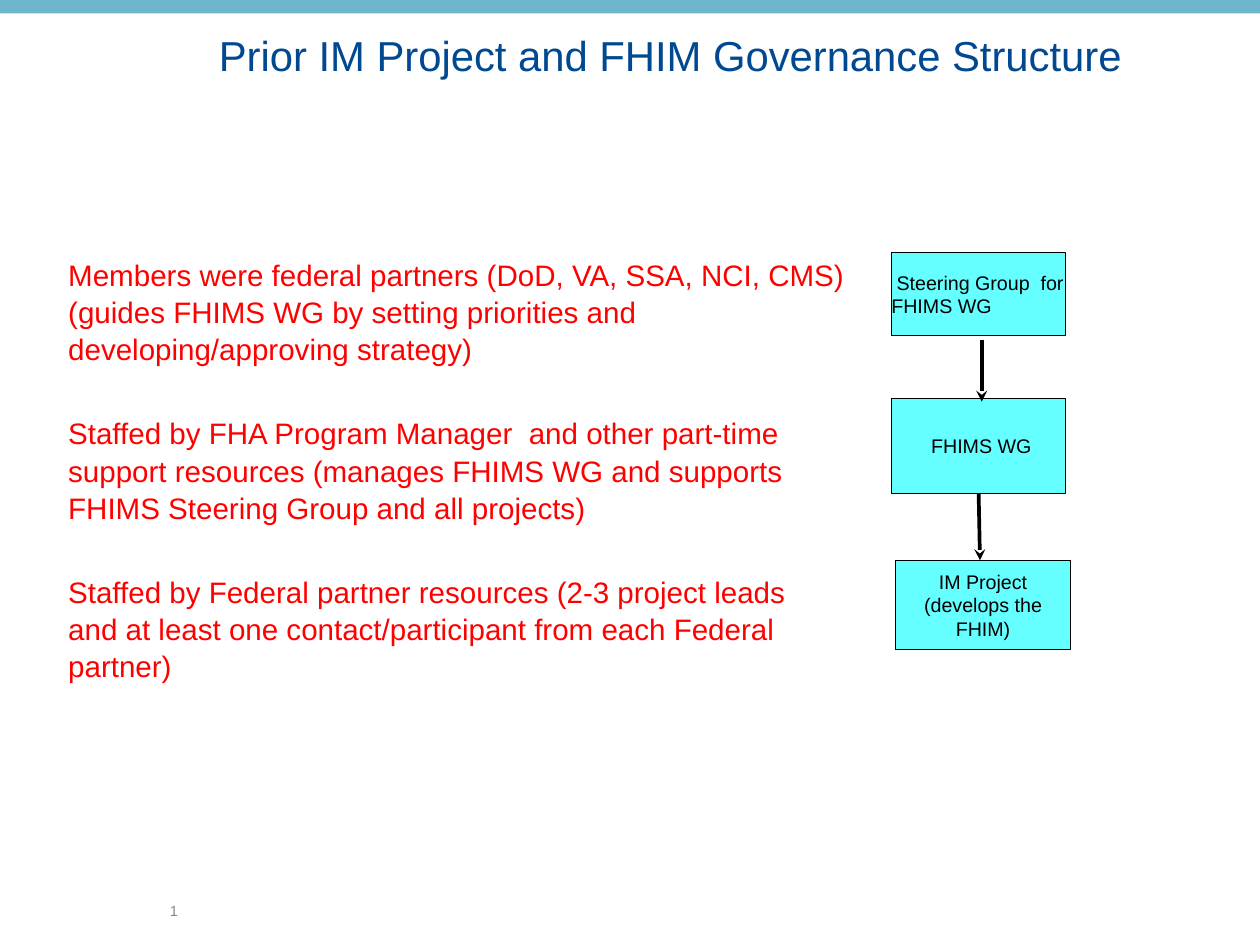
import pptx
import pptx.dml.color
import pptx.enum.shapes
import pptx.enum.text
import pptx.oxml
import pptx.oxml.ns
import pptx.util

Inches = pptx.util.Inches
Pt = pptx.util.Pt
ALIGN = pptx.enum.text.PP_ALIGN
ANCHOR = pptx.enum.text.MSO_ANCHOR
RECTANGLE = pptx.enum.shapes.MSO_SHAPE.RECTANGLE

FONT = "Arial"
SPACE_INDENT = 0.06

ROLES = [
    "Members were federal partners (DoD, VA, SSA, NCI, CMS)\v"
    "(guides FHIMS WG by setting priorities and\v"
    "developing/approving strategy)",
    "Staffed by FHA Program Manager  and other part-time\v"
    "support resources (manages FHIMS WG and supports\v"
    "FHIMS Steering Group and all projects)",
    "Staffed by Federal partner resources (2-3 project leads\v"
    "and at least one contact/participant from each Federal\v"
    "partner)",
]


def rgb(value):
    return pptx.dml.color.RGBColor.from_string(value)


def write(shape, paragraphs, size, color, align=ALIGN.LEFT, anchor=ANCHOR.TOP,
          line_spacing=None, gap=0, indent=0):
    """Fill a shape with paragraphs in one style; indent is for first lines."""
    frame = shape.text_frame
    frame.word_wrap = True
    frame.vertical_anchor = anchor
    frame.margin_left = frame.margin_right = 0
    frame.margin_top = frame.margin_bottom = 0
    frame.text = "\n".join(paragraphs)
    for index, paragraph in enumerate(frame.paragraphs):
        paragraph.alignment = align
        if line_spacing:
            paragraph.line_spacing = line_spacing
        if index and gap:
            paragraph.space_before = Pt(gap)
        if indent:
            paragraph._p.get_or_add_pPr().set("indent", str(Inches(indent)))
        for run in paragraph.runs:
            run.font.name = FONT
            run.font.size = Pt(size)
            run.font.color.rgb = rgb(color)


def add_text(slide, left, top, width, height, paragraphs, size, color, **style):
    box = slide.shapes.add_textbox(
        Inches(left), Inches(top), Inches(width), Inches(height))
    write(box, paragraphs, size, color, **style)


def add_rectangle(slide, left, top, width, height, fill, outline=None):
    rectangle = slide.shapes.add_shape(
        RECTANGLE, Inches(left), Inches(top), Inches(width), Inches(height))
    rectangle.shadow.inherit = False
    rectangle.fill.solid()
    rectangle.fill.fore_color.rgb = rgb(fill)
    if outline:
        rectangle.line.color.rgb = rgb(outline)
        rectangle.line.width = Pt(0.75)
    else:
        rectangle.line.fill.background()
    return rectangle


def add_group_box(slide, left, top, height, paragraphs, **style):
    group = add_rectangle(slide, left, top, 1.97, height, "66FFFF", "000000")
    write(group, paragraphs, 16, "000000", anchor=ANCHOR.MIDDLE, **style)
    return group


def add_arrow(slide, start, end):
    arrow = slide.shapes.add_connector(
        pptx.enum.shapes.MSO_CONNECTOR.STRAIGHT,
        Inches(start[0]), Inches(start[1]), Inches(end[0]), Inches(end[1]))
    arrow.line.color.rgb = rgb("000000")
    arrow.line.width = Pt(3)
    namespace = pptx.oxml.ns.nsdecls("a")
    arrow.line._get_or_add_ln().append(
        pptx.oxml.parse_xml(f'<a:tailEnd {namespace} type="stealth"/>'))
    arrow._element.spPr.append(pptx.oxml.parse_xml(f"<a:effectLst {namespace}/>"))
    return arrow


def main():
    deck = pptx.Presentation()
    deck.slide_width = Inches(14.22)
    deck.slide_height = Inches(10.66)
    slide = deck.slides.add_slide(deck.slide_layouts[6])

    # Top band and title
    add_rectangle(slide, 0, 0, 14.22, 0.15, "6FB5CC")
    add_text(slide, 2.47, 0.34, 11.2, 0.6,
             ["Prior IM Project and FHIM Governance Structure"], 34, "004990")

    # Who staffs each group
    add_text(slide, 0.77, 2.88, 9.1, 4.8, ROLES, 24, "FF0000",
             line_spacing=1.05, gap=38)

    # Governance chain
    add_group_box(slide, 10.06, 2.85, 0.94, ["Steering Group  for FHIMS WG"],
                  indent=SPACE_INDENT)
    working_group = add_group_box(slide, 10.06, 4.49, 1.08, ["FHIMS WG"],
                                  align=ALIGN.CENTER, indent=SPACE_INDENT)
    add_group_box(slide, 10.11, 6.32, 1.01, ["IM Project", "(develops the FHIM)"],
                  align=ALIGN.CENTER)
    add_arrow(slide, (11.08, 3.83), (11.08, 4.53))
    project_arrow = add_arrow(slide, (11.04, 5.57), (11.06, 6.32))
    project_arrow.begin_connect(working_group, 2)

    # Slide number
    add_text(slide, 1.81, 10.12, 0.31, 0.31, ["1"], 12, "898989",
             align=ALIGN.CENTER, anchor=ANCHOR.MIDDLE)

    deck.save("out.pptx")


if __name__ == "__main__":
    main()
